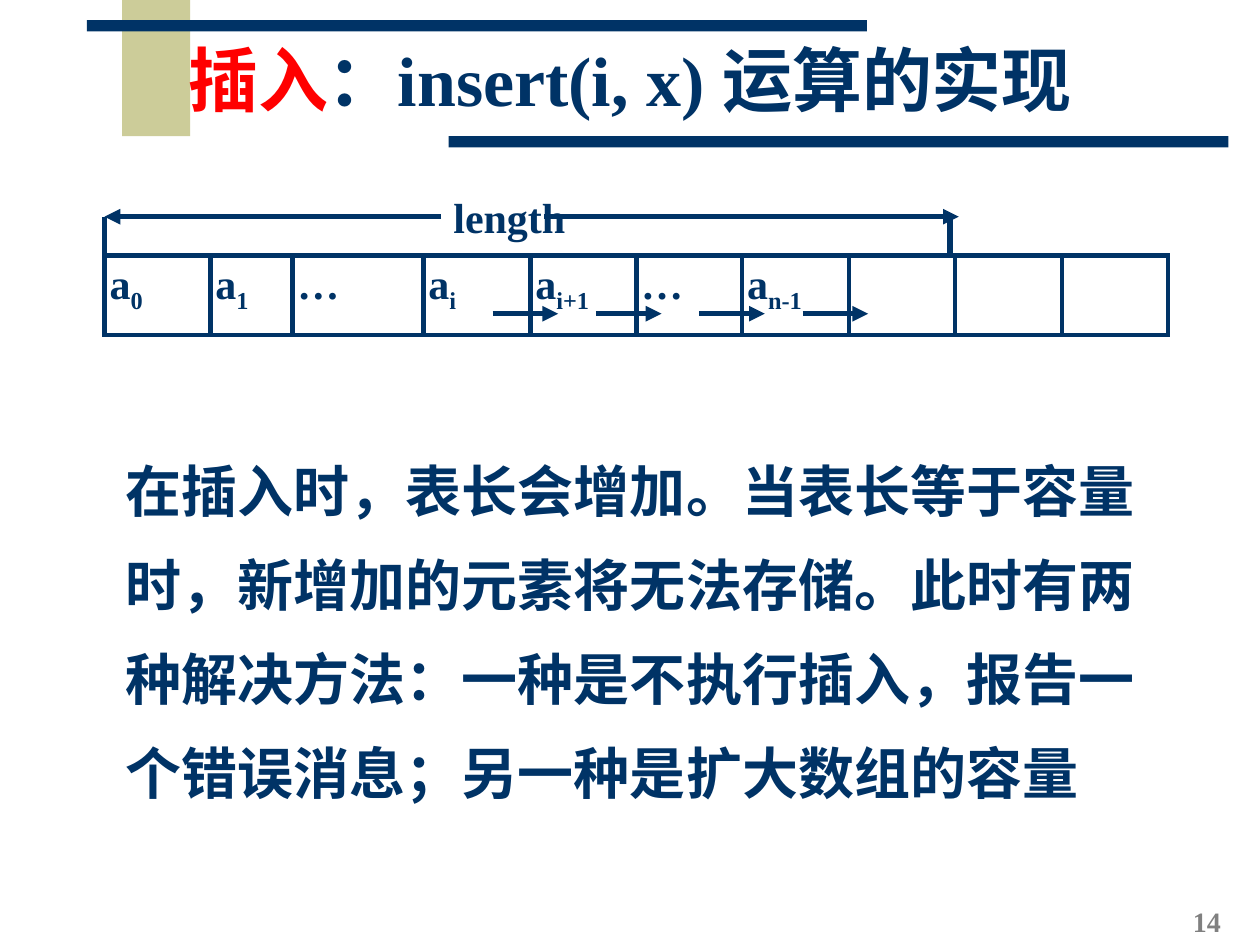
from itertools import accumulate

from lxml.etree import SubElement
from pptx import Presentation
from pptx.dml.color import RGBColor
from pptx.enum.shapes import MSO_CONNECTOR, MSO_SHAPE
from pptx.enum.text import MSO_ANCHOR, MSO_AUTO_SIZE, PP_ALIGN
from pptx.oxml.ns import qn
from pptx.util import Inches, Pt

COLORS = {"navy": "003366", "sand": "CCCC99", "red": "FF0000", "gray": "808080"}
FONT = "Times New Roman"
LINE_WIDTH = Pt(3)
WIDTH, HEIGHT = 10, 7.5

# Array cells as (letter, subscript), with their column widths
CELLS = [("a", "0"), ("a", "1"), ("…", ""), ("a", "i"), ("a", "i+1"),
         ("…", ""), ("a", "n-1"), ("", ""), ("", ""), ("", "")]
COLUMNS = [0.84, 0.65, 1.04, 0.85, 0.84, 0.84, 0.85, 0.84, 0.85, 0.84]


def color(name):
    return RGBColor.from_string(COLORS[name])


def inches(box):
    return [Inches(value) for value in box]


def add_run(paragraph, text, size, color_name="navy", subscript=False):
    run = paragraph.add_run()
    run.text = text
    run.font.name, run.font.size, run.font.bold = FONT, Pt(size), True
    run.font.color.rgb = color(color_name)
    if subscript:
        run._r.get_or_add_rPr().set("baseline", "-25000")


def add_text(slide, box, text, size, color_name="navy"):
    text_frame = slide.shapes.add_textbox(*inches(box)).text_frame
    text_frame.word_wrap = True
    paragraph = text_frame.paragraphs[0]
    add_run(paragraph, text, size, color_name)
    return paragraph


def add_line(slide, start, end, arrow=False):
    line = slide.shapes.add_connector(MSO_CONNECTOR.STRAIGHT, *inches(start + end))
    line.line.color.rgb = color("navy")
    line.line.width = LINE_WIDTH
    properties = line._element.spPr
    if arrow:
        SubElement(properties.find(qn("a:ln")), qn("a:tailEnd"), type="triangle")
    SubElement(properties, qn("a:effectLst"))


def add_header(slide, box):
    left, top, width, height = box
    # Sand block and the two offset bars
    bar_width, bar_height = 6.19, 0.09
    for rectangle, name in [
        ((0.97, 0, 0.54, 1.08), "sand"),
        ((0.69, 0.16, bar_width, bar_height), "navy"),
        ((3.56, 1.08, bar_width, bar_height), "navy"),
    ]:
        shape = slide.shapes.add_shape(MSO_SHAPE.RECTANGLE, *inches(rectangle))
        shape.shadow.inherit = False
        shape.fill.solid()
        shape.fill.fore_color.rgb = color(name)
        shape.line.fill.background()

    # Title, in front of the block
    title = slide.shapes.title
    title.left, title.top, title.width, title.height = inches(box)
    slide.shapes._spTree.append(title._element)
    text_frame = title.text_frame
    text_frame.auto_size = MSO_AUTO_SIZE.NONE
    text_frame.vertical_anchor = MSO_ANCHOR.MIDDLE
    paragraph = text_frame.paragraphs[0]
    paragraph.alignment = PP_ALIGN.CENTER
    paragraph.line_spacing = 0.85
    add_run(paragraph, "插入", 40, "red")
    add_run(paragraph, "：insert(i, x) 运算的实现", 40)


def add_borders(cell):
    properties = cell._tc.get_or_add_tcPr()
    for side in ("a:lnL", "a:lnR", "a:lnT", "a:lnB"):
        border = SubElement(properties, qn(side), w=str(LINE_WIDTH))
        fill = SubElement(border, qn("a:solidFill"))
        SubElement(fill, qn("a:srgbClr"), val=COLORS["navy"])


def add_array(slide, left, top, height):
    # Arrows that shift the elements one place right
    shift_y = top + 0.73 * height
    shift_start = left + sum(COLUMNS[:3]) + 0.55
    for step in range(4):
        x = shift_start + step * 0.82
        add_line(slide, (x, shift_y), (x + 0.52, shift_y), arrow=True)

    # Length dimension above the used cells
    length_y = top - 0.31
    for x in (left, left + 6.71):
        add_line(slide, (x, length_y), (x, top))
    label_left = left + 2.67
    label = add_text(slide, (label_left, length_y - 0.25, 1.85, 0.49), "length", 24)
    label.alignment = PP_ALIGN.JUSTIFY
    add_line(slide, (label_left + 0.82, length_y), (left + 6.78, length_y), arrow=True)
    add_line(slide, (label_left, length_y), (left, length_y), arrow=True)

    # Array cells
    total_width = list(accumulate(COLUMNS))[-1]
    frame = slide.shapes.add_table(1, len(CELLS), *inches((left, top, total_width, height)))
    table = frame.table
    table.first_row = table.horz_banding = False
    table.rows[0].height = Inches(height)
    for index, (letter, subscript) in enumerate(CELLS):
        table.columns[index].width = Inches(COLUMNS[index])
        cell = table.cell(0, index)
        cell.margin_left = cell.margin_right = Inches(0.04)
        cell.margin_top = cell.margin_bottom = Inches(0.05)
        add_borders(cell)
        cell.fill.background()
        paragraph = cell.text_frame.paragraphs[0]
        paragraph.alignment = PP_ALIGN.JUSTIFY
        if letter:
            add_run(paragraph, letter, 24)
        if subscript:
            add_run(paragraph, subscript, 24, subscript=True)


def add_explanation(slide, box):
    paragraph = add_text(
        slide, box,
        "在插入时，表长会增加。当表长等于容量时，新增加的元素将无法存储。"
        "此时有两种解决方法：一种是不执行插入，报告一个错误消息；"
        "另一种是扩大数组的容量", 32)
    paragraph.line_spacing = 1.4


def add_page_number(slide, width, height):
    add_text(slide, (WIDTH - width, HEIGHT - height, width, height), "14", 16, "gray")


def main():
    presentation = Presentation()
    presentation.slide_width, presentation.slide_height = inches((WIDTH, HEIGHT))
    slide = presentation.slides.add_slide(presentation.slide_layouts[5])
    add_header(slide, (0.75, 0.05, WIDTH * 0.85, 1.25))
    add_page_number(slide, 0.63, 0.37)
    add_array(slide, 0.83, 2.03, 0.63)
    add_explanation(slide, (0.9, 3.36, 8.35, 3.09))
    presentation.save("out.pptx")


if __name__ == "__main__":
    main()
